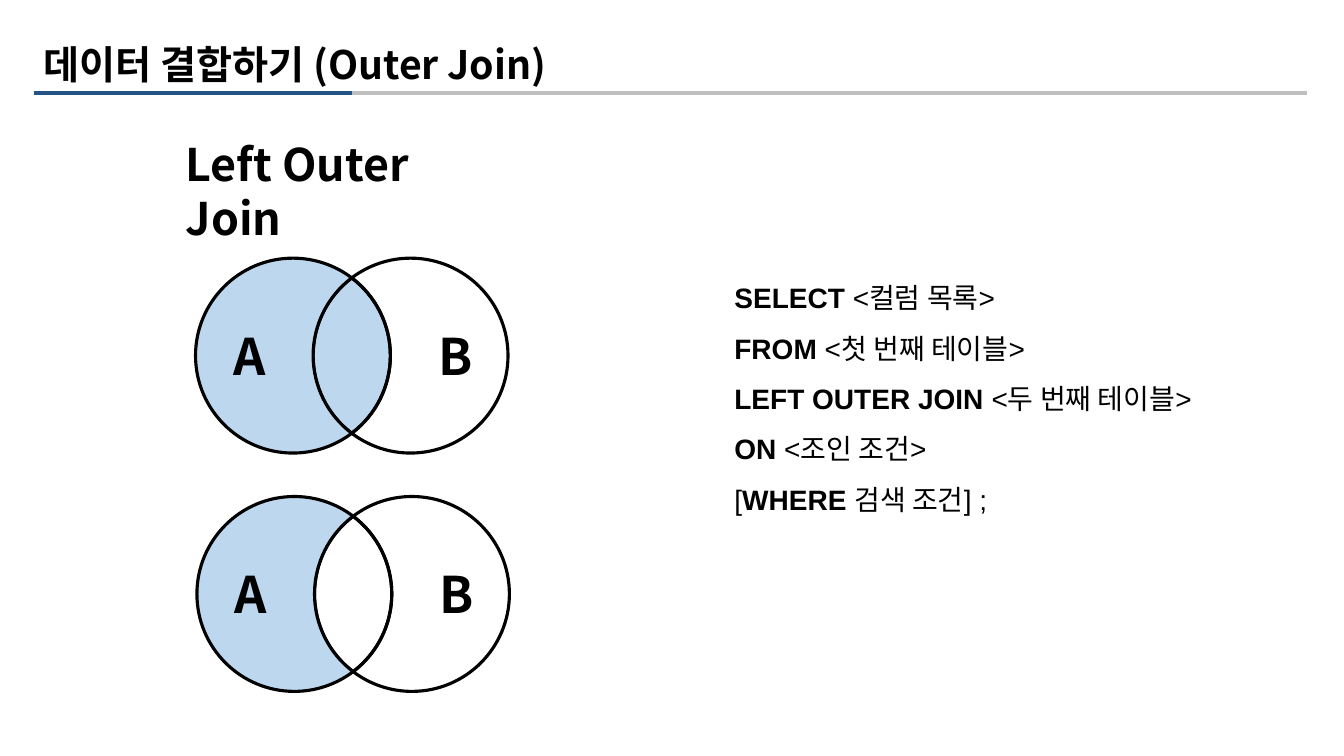
from math import acos, cos, pi, sin, tan

from lxml.etree import SubElement
from pptx import Presentation
from pptx.dml.color import RGBColor
from pptx.enum.shapes import MSO_CONNECTOR
from pptx.enum.text import MSO_ANCHOR, MSO_AUTO_SIZE
from pptx.oxml.ns import qn
from pptx.util import Pt

BLACK = RGBColor(0x00, 0x00, 0x00)
GREY = RGBColor(0xBF, 0xBF, 0xBF)
NAVY = RGBColor(0x24, 0x53, 0x88)
LIGHT_BLUE = RGBColor(0xBD, 0xD7, 0xEE)

KOREAN_FONT = "Noto Sans CJK KR"
CODE_FONT = "Arial"

RADIUS = 69.6
HALF_GAP = 42  # half the distance between the circle centres
CROSSING = acos(HALF_GAP / RADIUS)  # angle at which the circles cross
FINE = 100  # outline units in a point

# Each query line is a list of (text, bold) spans
QUERY = [
    [("SELECT ", True), ("<컬럼 목록>", False)],
    [("FROM", True), (" <첫 번째 테이블>", False)],
    [("LEFT OUTER JOIN ", True), ("<두 번째 테이블>", False)],
    [("ON", True), (" <조인 조건>", False)],
    [("[", False), ("WHERE ", True), ("검색 조건] ;", False)],
]


def add_text(page, left, top, width, height, lines, size, font=KOREAN_FONT,
             spacing=None, anchor=MSO_ANCHOR.TOP,
             fit=MSO_AUTO_SIZE.SHAPE_TO_FIT_TEXT):
    box = page.shapes.add_textbox(Pt(left), Pt(top), Pt(width), Pt(height))
    frame = box.text_frame
    frame.word_wrap = True
    frame.auto_size = fit
    frame.vertical_anchor = anchor
    for index, line in enumerate(lines):
        para = frame.add_paragraph() if index else frame.paragraphs[0]
        if spacing:
            para.line_spacing = spacing
        for text, bold in line:
            span = para.add_run()
            span.text = text
            span.font.size = Pt(size)
            span.font.bold = bold
            span.font.name = font
            span.font.color.rgb = BLACK
            # Hangul takes the East Asian font
            SubElement(span.font._element, qn("a:ea"), typeface=KOREAN_FONT)


def add_rule(page, left, right, y, color):
    rule = page.shapes.add_connector(
        MSO_CONNECTOR.STRAIGHT, Pt(left), Pt(y), Pt(right), Pt(y))
    rule.line.color.rgb = color
    rule.line.width = Pt(2.25)
    SubElement(rule._element.spPr, qn("a:effectLst"))


def arc(x, y, angles):
    """Bézier points for an arc that passes through the given angles."""
    def point(angle, pull=0):
        return (x + RADIUS * (cos(angle) - pull * sin(angle)),
                y + RADIUS * (sin(angle) + pull * cos(angle)))

    points = [point(angles[0])]
    for start, end in zip(angles, angles[1:]):
        pull = 4 / 3 * tan((end - start) / 4)
        points += [point(start, pull), point(end, -pull), point(end)]
    return points


def add_region(page, first, second, fill):
    # The second arc begins where the first one ends
    points = [(x * FINE, y * FINE) for x, y in first + second[1:]]
    builder = page.shapes.build_freeform(*points[0], scale=Pt(1) / FINE)
    builder.add_line_segments(points[1:], close=True)
    region = builder.convert_to_shape()

    # Turn every three line points into one curve
    segments = list(region._element.iter(qn("a:lnTo")))
    for index in range(0, len(segments) - 2, 3):
        curve = segments[index].makeelement(qn("a:cubicBezTo"))
        segments[index].addprevious(curve)
        for segment in segments[index:index + 3]:
            curve.append(segment[0])
            segment.getparent().remove(segment)

    region.shadow.inherit = False
    if fill is None:
        region.fill.background()
    else:
        region.fill.solid()
        region.fill.fore_color.rgb = fill
    region.line.color.rgb = BLACK
    region.line.width = Pt(2.25)


def add_venn(page, x, y, lens_fill):
    a, b = x - HALF_GAP, x + HALF_GAP
    a_inner = arc(a, y, [-CROSSING, 0, CROSSING])
    b_inner = arc(b, y, [pi - CROSSING, pi, pi + CROSSING])
    a_outer = arc(a, y, [CROSSING, pi / 2, pi, 3 * pi / 2, 2 * pi - CROSSING])
    b_outer = arc(b, y, [CROSSING - pi, -pi / 2, 0, pi / 2, pi - CROSSING])
    add_region(page, a_inner, b_inner, lens_fill)
    add_region(page, a_outer, b_inner[::-1], LIGHT_BLUE)
    add_region(page, b_outer, a_inner[::-1], None)
    for letter, offset in (("A", -91.5), ("B", 54.75)):
        add_text(page, x + offset, y - 25.5, 49, 51, [[(letter, True)]], 36)


def main():
    deck = Presentation()
    deck.slide_width, deck.slide_height = Pt(960), Pt(540)
    page = deck.slides.add_slide(deck.slide_layouts[6])

    # Heading with its two-tone rule
    add_rule(page, 24, 933.5, 66.5, GREY)
    add_rule(page, 24, 251.5, 66.5, NAVY)
    add_text(page, 24, 29, 909.5, 37.5,
             [[("데이터 결합하기 (Outer Join)", True)]], 28, spacing=0.9,
             anchor=MSO_ANCHOR.MIDDLE, fit=MSO_AUTO_SIZE.NONE)

    # Join diagrams: with and without the overlap
    add_text(page, 125.5, 94, 245, 46, [[("Left Outer Join", True)]], 32)
    add_venn(page, 251.25, 254, LIGHT_BLUE)
    add_venn(page, 252.25, 424.25, None)

    # Query syntax
    add_text(page, 517.5, 185, 365, 189.5, QUERY, 20, CODE_FONT, spacing=1.5)

    deck.save("out.pptx")


if __name__ == "__main__":
    main()
